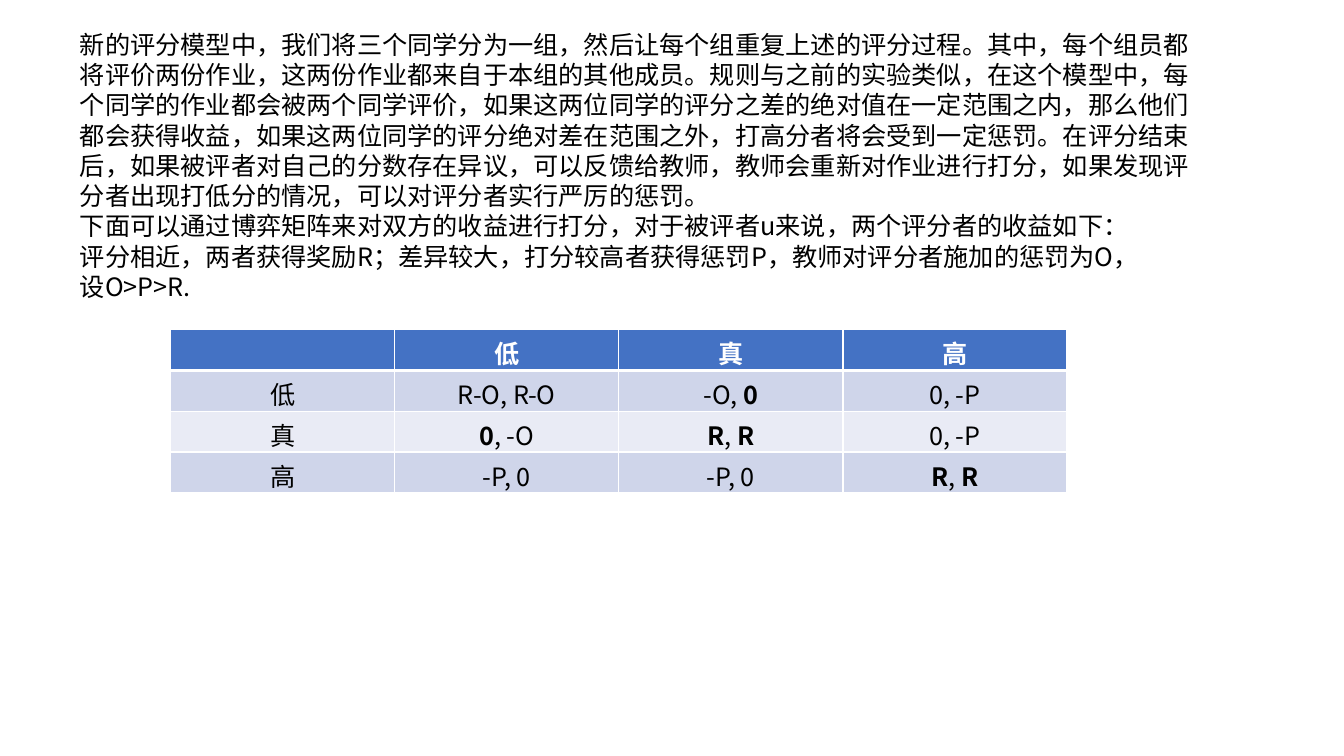
from dataclasses import dataclass

from lxml.etree import SubElement
from pptx import Presentation
from pptx.dml.color import RGBColor as Color
from pptx.enum.text import MSO_ANCHOR as Anchor, MSO_AUTO_SIZE as AutoSize, PP_ALIGN as Align
from pptx.oxml.ns import qn
from pptx.util import Inches, Pt


@dataclass(frozen=True)
class Theme:
    font: str = "Noto Sans CJK SC"
    size: int = 18
    text: str = "000000"
    inverse: str = "FFFFFF"
    header: str = "4472C4"
    bands: tuple = ("CFD5EA", "E9EBF5")
    border: str = "FFFFFF"
    thin: int = 1
    thick: int = 3


THEME = Theme()
WIDTH, HEIGHT = 13.33, 7.5

EXPLANATION = (
    "新的评分模型中，我们将三个同学分为一组，然后让每个组重复上述的评分过程。"
    "其中，每个组员都将评价两份作业，这两份作业都来自于本组的其他成员。"
    "规则与之前的实验类似，在这个模型中，每个同学的作业都会被两个同学评价，"
    "如果这两位同学的评分之差的绝对值在一定范围之内，那么他们都会获得收益，"
    "如果这两位同学的评分绝对差在范围之外，打高分者将会受到一定惩罚。"
    "在评分结束后，如果被评者对自己的分数存在异议，可以反馈给教师，"
    "教师会重新对作业进行打分，如果发现评分者出现打低分的情况，可以对评分者实行严厉的惩罚。",
    "下面可以通过博弈矩阵来对双方的收益进行打分，对于被评者u来说，两个评分者的收益如下：",
    "评分相近，两者获得奖励R；差异较大，打分较高者获得惩罚P，教师对评分者施加的惩罚为O，",
    "设O>P>R.",
)

BOLD_MARK = "*"
PAYOFFS = (
    ("", "*低*", "*真*", "*高*"),
    ("低", "R-O, R-O", "-O, *0*", "0, -P"),
    ("真", "*0*, -O", "*R*, *R*", "0, -P"),
    ("高", "-P, 0", "-P, 0", "*R*, *R*"),
)


def add_run(paragraph, text, color, bold=False):
    run = paragraph.add_run()
    run.text = text
    run.font.name = THEME.font
    run.font.size = Pt(THEME.size)
    run.font.bold = bold
    run.font.color.rgb = Color.from_string(color)
    SubElement(run.font._element, qn("a:ea"), typeface=THEME.font)


def add_explanation(slide, left, top, width, height):
    box = slide.shapes.add_textbox(Inches(left), Inches(top), Inches(width), Inches(height))
    frame = box.text_frame
    frame.word_wrap = True
    frame.auto_size = AutoSize.SHAPE_TO_FIT_TEXT
    for index, text in enumerate(EXPLANATION):
        paragraph = frame.add_paragraph() if index else frame.paragraphs[0]
        add_run(paragraph, text, THEME.text)


def add_borders(cell, row):
    top = THEME.thick if row == 1 else THEME.thin
    bottom = THEME.thick if row == 0 else THEME.thin
    widths = {"lnL": THEME.thin, "lnR": THEME.thin, "lnT": top, "lnB": bottom}
    properties = cell._tc.get_or_add_tcPr()
    for side, width in widths.items():
        line = SubElement(properties, qn(f"a:{side}"), w=str(Pt(width)))
        SubElement(SubElement(line, qn("a:solidFill")), qn("a:srgbClr"), val=THEME.border)


def fill_cell(cell, row, text):
    add_borders(cell, row)
    background = THEME.bands[(row - 1) % 2] if row else THEME.header
    cell.fill.solid()
    cell.fill.fore_color.rgb = Color.from_string(background)
    cell.vertical_anchor = Anchor.TOP
    paragraph = cell.text_frame.paragraphs[0]
    paragraph.alignment = Align.CENTER
    for index, part in enumerate(text.split(BOLD_MARK)):
        if part:
            add_run(paragraph, part, THEME.text if row else THEME.inverse, index % 2 == 1)


def add_payoff_matrix(slide, left, top, width, height):
    rows, columns = len(PAYOFFS), len(PAYOFFS[0])
    table = slide.shapes.add_table(
        rows, columns, Inches(left), Inches(top), Inches(width), Inches(height)
    ).table
    for row, texts in enumerate(PAYOFFS):
        for column, text in enumerate(texts):
            fill_cell(table.cell(row, column), row, text)


def main():
    presentation = Presentation()
    presentation.slide_width = Inches(WIDTH)
    presentation.slide_height = Inches(HEIGHT)
    slide = presentation.slides.add_slide(presentation.slide_layouts[6])
    add_explanation(slide, WIDTH * 0.052, HEIGHT * 0.032, WIDTH * 0.84, HEIGHT * 0.377)
    add_payoff_matrix(slide, WIDTH * 0.127, HEIGHT * 0.436, WIDTH * 0.667, HEIGHT * 0.216)
    presentation.save("out.pptx")


if __name__ == "__main__":
    main()
